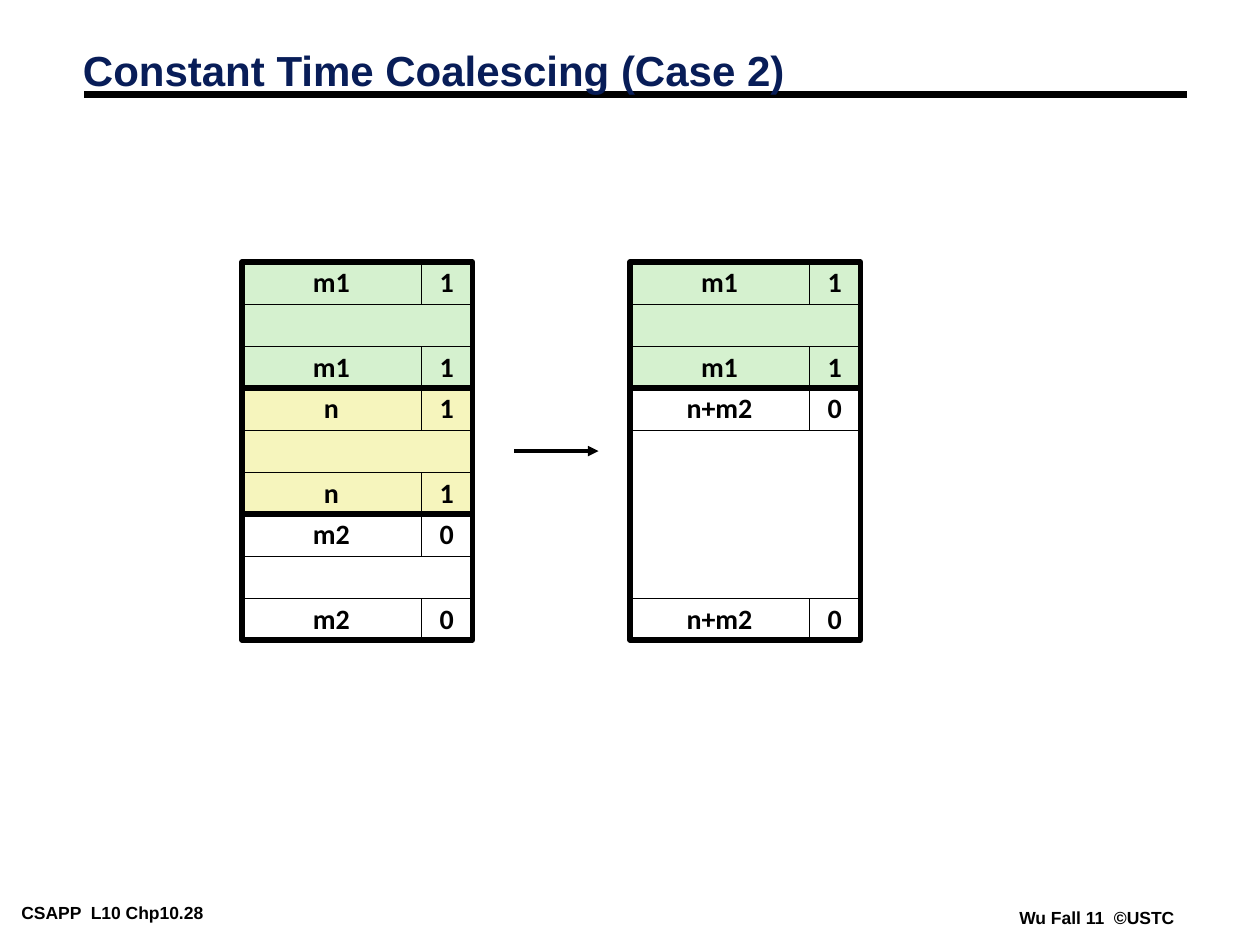
from lxml import etree
from pptx import Presentation
from pptx.dml.color import RGBColor
from pptx.enum.shapes import MSO_CONNECTOR, MSO_SHAPE
from pptx.enum.text import MSO_ANCHOR, MSO_AUTO_SIZE, PP_ALIGN
from pptx.oxml.ns import qn
from pptx.util import Inches, Pt

RECT = MSO_SHAPE.RECTANGLE
STRAIGHT = MSO_CONNECTOR.STRAIGHT
MIDDLE = MSO_ANCHOR.MIDDLE
FIT_SHAPE = MSO_AUTO_SIZE.SHAPE_TO_FIT_TEXT
CENTER = PP_ALIGN.CENTER

COLORS = {
    "black": "000000",
    "navy": "081D58",
    "green": "D5F1CF",
    "yellow": "F6F5BD",
    "white": "FFFFFF",
}
TOP = 2.08
ROW = 1 / 3
SIZE_W = 1.42
FLAG_W = 0.42
BLOCK_W = 1.83

HEAPS = {
    1.92: [("m1", "1", "green", 3), ("n", "1", "yellow", 3), ("m2", "0", "white", 3)],
    5: [("m1", "1", "green", 3), ("n+m2", "0", "white", 6)],
}


class HeapSlide:
    """Holds the style and the current slide, and draws each kind of element."""

    def __init__(self, slide):
        self.shapes = slide.shapes

    def color(self, name):
        return RGBColor.from_string(COLORS[name])

    def font(self, p, name, size, color):
        for r in p.runs:
            r.font.name = name
            r.font.size = Pt(size)
            r.font.bold = True
            r.font.color.rgb = self.color(color)

    def text(self, text, x, y, w, h, size, color="black"):
        sp = self.shapes.add_textbox(Inches(x), Inches(y), Inches(w), Inches(h))
        tf = sp.text_frame
        tf.text = text
        self.font(tf.paragraphs[0], "Arial", size, color)
        return tf

    def title(self, text):
        tf = self.text(text, 0.56, 0.36, 9.08, 0.45, 24, "navy")
        tf.word_wrap = True
        tf.vertical_anchor = MIDDLE
        tf.paragraphs[0].line_spacing = 0.87

    def footer(self, text, x, y, w):
        tf = self.text(text, x, y, w, 0.22, 10)
        tf.word_wrap = False
        tf.auto_size = FIT_SHAPE
        tf.margin_left = tf.margin_right = Inches(0.07)
        tf.margin_top = tf.margin_bottom = Inches(0.03)

    def rect(self, x, y, w, h, fill=None, line=0.25, text=""):
        sp = self.shapes.add_shape(RECT, Inches(x), Inches(y), Inches(w), Inches(h))
        sp.shadow.inherit = False
        sp.line.color.rgb = self.color("black")
        sp.line.width = Pt(line)
        if fill:
            sp.fill.solid()
            sp.fill.fore_color.rgb = self.color(fill)
        else:
            sp.fill.background()
        if text:
            tf = sp.text_frame
            tf.text = text
            tf.word_wrap = False
            tf.vertical_anchor = MIDDLE
            p = tf.paragraphs[0]
            p.alignment = CENTER
            p.line_spacing = 0.98
            self.font(p, "Calibri", 16, "black")

    def block(self, x, y, size, flag, fill, rows):
        height = rows * ROW
        for tag_y in (y, y + height - ROW):
            self.rect(x, tag_y, SIZE_W, ROW, fill, text=size)
            self.rect(x + SIZE_W, tag_y, BLOCK_W - SIZE_W, ROW, fill, text=flag)
        self.rect(x, y + ROW, BLOCK_W, height - 2 * ROW, fill)
        self.rect(x, y, BLOCK_W, height, line=3)

    def heap(self, x, blocks):
        y = TOP
        for size, flag, fill, rows in blocks:
            self.block(x, y, size, flag, fill, rows)
            y += rows * ROW

    def line(self, x1, x2, y, width, arrow=False):
        s = self.shapes.add_connector(STRAIGHT, Inches(x1), Inches(y), Inches(x2), Inches(y))
        s.line.color.rgb = self.color("black")
        s.line.width = Pt(width)
        if arrow:
            etree.SubElement(s.line._get_or_add_ln(), qn("a:tailEnd"), type="triangle")
        etree.SubElement(s._element.spPr, qn("a:effectLst"))


def main():
    prs = Presentation()
    prs.slide_width = Inches(10)
    prs.slide_height = Inches(7.5)
    s = HeapSlide(prs.slides.add_slide(prs.slide_layouts[6]))
    s.footer("CSAPP  L10 Chp10.28", 0.1, 7.13, 2.1)
    s.footer("Wu Fall 11  ©USTC", 8.02, 7.17, 1.38)
    s.line(0.67, 9.42, 0.75, 4.5)
    s.title("Constant Time Coalescing (Case 2)")
    for x, blocks in HEAPS.items():
        s.heap(x, blocks)
    s.line(4.08, 4.75, 3.58, 2, arrow=True)
    prs.save("out.pptx")


if __name__ == "__main__":
    main()
